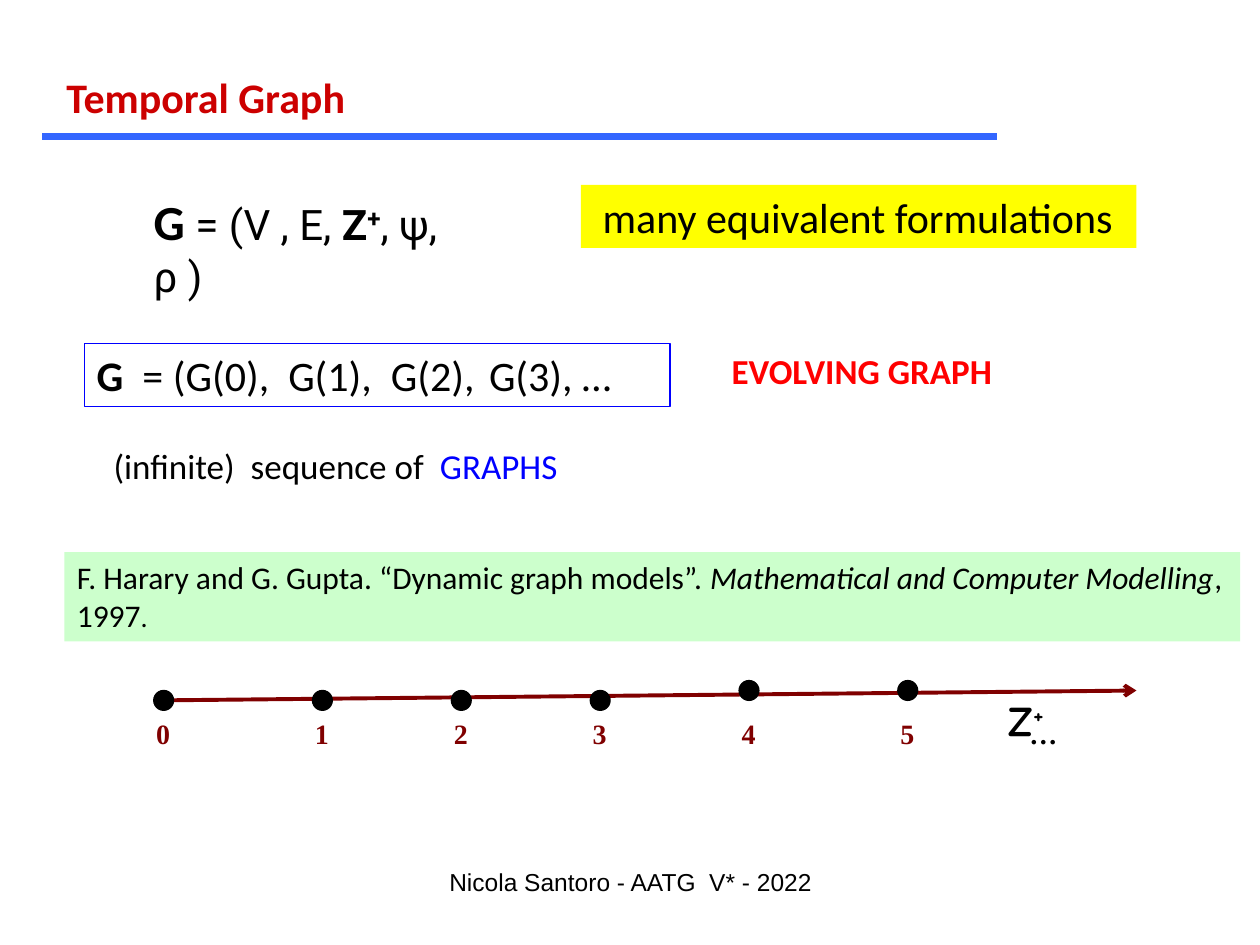
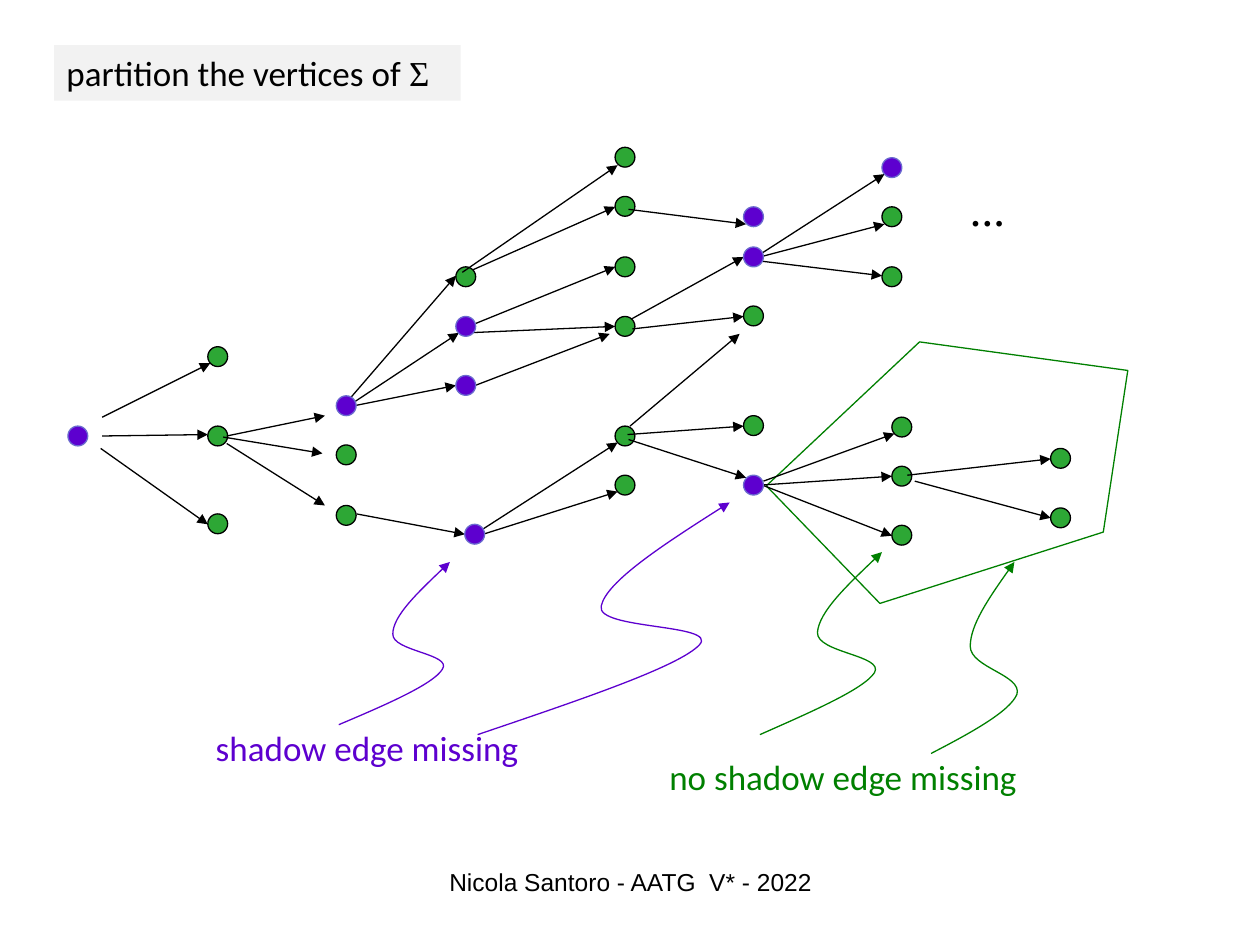
"""Builds two slides on temporal graphs: the evolving-graph definition and a vertex partition."""
from lxml.etree import SubElement
from pptx import Presentation
from pptx.dml.color import RGBColor as RGB
from pptx.enum.shapes import MSO_CONNECTOR as CONN, MSO_SHAPE as SHAPE
from pptx.enum.text import PP_ALIGN as ALIGN
from pptx.oxml.ns import qn
from pptx.util import Cm, Pt

COLORS = {
    "black": "000000", "white": "FFFFFF", "title": "CC0000", "rule": "3366FF",
    "axis": "800000", "blue": "0000FF", "red": "FF0000", "yellow": "FFFF00",
    "mint": "CCFFCC", "gray": "F2F2F2", "green": "008000", "leaf": "2DA735",
    "purple": "5D00CF", "lilac": "6B6BCF",
}
RGBS = {name: RGB.from_string(value) for name, value in COLORS.items()}
DOT = Cm(0.4)


def style(sp, fill=None, line=None, width=0.75, tail=None):
    """Set fill, outline and arrowhead, and drop the shadow."""
    if hasattr(sp, "fill"):
        if fill:
            sp.fill.solid()
            sp.fill.fore_color.rgb = RGBS[fill]
        else:
            sp.fill.background()
    if line:
        sp.line.color.rgb = RGBS[line]
        sp.line.width = Pt(width)
    else:
        sp.line.fill.background()
    spPr = sp._element.spPr
    if tail:
        SubElement(spPr.find(qn("a:ln")), qn("a:tailEnd"), type=tail)
    if spPr.find(qn("a:effectLst")) is None:
        SubElement(spPr, qn("a:effectLst"))


def text(s, box, runs, fill=None, line=None, align=ALIGN.LEFT, wrap=True, **base):
    """Add a one-paragraph box; each run is its text and what differs from base."""
    sp = s.shapes.add_textbox(*map(Cm, box))
    style(sp, fill, line)
    tf = sp.text_frame
    tf.word_wrap = wrap
    p = tf.paragraphs[0]
    p.alignment = align
    for content, extra in runs:
        r = p.add_run()
        r.text = content
        fmt = {"name": "Calibri", "size": 24, "color": "black", **base, **extra}
        r.font.color.rgb = RGBS[fmt.pop("color")]
        r.font.size = Pt(fmt.pop("size"))
        if fmt.pop("raised", False):
            r.font._element.set("baseline", "30000")
        for key, value in fmt.items():
            setattr(r.font, key, value)
    return sp


prs = Presentation()
prs.slide_width, prs.slide_height = Cm(25.4), Cm(19.05)
slides = [prs.slides.add_slide(prs.slide_layouts[6]) for _ in range(2)]

s = slides[0]
rule = s.shapes.add_connector(CONN.STRAIGHT, Cm(0.85), Cm(2.75), Cm(20.1), Cm(2.75))
style(rule, line="rule", width=4)
text(s, (1.09, 1.32, 6.3, 1.27), [("Temporal Graph", {})],
     wrap=False, color="title", bold=True)
text(s, (2.85, 3.73, 7.4, 1.4), [
    ("G", {"name": "Calibri", "size": 28, "bold": True}),
    (" = (V , E, ", {}),
    ("Z", {"bold": True}),
    ("+", {"bold": True, "raised": True}),
    (", ψ, ρ )", {}),
], wrap=False, name="Roboto")
sp = text(s, (11.71, 3.73, 11.2, 1.27), [("many equivalent formulations", {})], fill="yellow")
sp.text_frame.margin_left = Cm(0.44)
text(s, (1.7, 6.93, 11.81, 1.27), [
    ("G", {"bold": True}),
    ("  = (G(0),  G(1),  G(2),", {}),
    ("  ", {"size": 18}),
    ("G(3), …", {}),
], line="blue")
text(s, (14.5, 6.93, 5.87, 1.12), [("EVOLVING GRAPH", {})],
     wrap=False, size=20, color="red", bold=True)
text(s, (2.04, 8.84, 11.4, 1.2), [
    ("(infinite)  sequence of  ", {}),
    ("GRAPHS", {"color": "blue"}),
], size=20)
text(s, (1.3, 11.13, 23.7, 1.8), [
    ("F. Harary and G. Gupta. “Dynamic graph models”. ", {}),
    ("Mathematical and Computer Modelling", {"italic": True}),
    (", 1997", {}),
    (".", {"size": 16}),
], fill="mint", size=18)

axis = s.shapes.add_connector(CONN.STRAIGHT, Cm(3.1), Cm(14.12), Cm(22.91), Cm(13.92))
style(axis, line="axis", width=2.25, tail="arrow")
TICKS = [(3.1, 13.92), (6.3, 13.92), (9.1, 13.92), (11.9, 13.92), (14.9, 13.72), (18.1, 13.72)]
for i, (x, y) in enumerate(TICKS):
    style(s.shapes.add_shape(SHAPE.OVAL, Cm(x), Cm(y), DOT, DOT), "black", "black")
    text(s, (x - 0.2, 14.33, 0.8, 0.94), [(str(i), {})], wrap=False,
         name="Times New Roman", size=16, color="axis", bold=True)
text(s, (20.5, 14.33, 1.1, 0.94), [("…", {})], wrap=False,
     name="Times New Roman", size=16, bold=True)
text(s, (20.09, 13.87, 2, 1.2), [("Z", {}), ("+", {"raised": True})],
     wrap=False, name="Comic Neue", bold=True)

s = slides[1]
sp = s.shapes.add_shape(SHAPE.REGULAR_PENTAGON, Cm(15.44), Cm(6.78), Cm(7.65), Cm(4.78))
sp.rotation = -17.7
style(sp, "white", "green")

GREEN_NODES = {
    4.19: [6.99, 8.59, 10.36], 6.78: [8.97, 10.19], 9.19: [5.38],
    12.4: [2.97, 3.96, 5.18, 6.38, 8.59, 9.58], 14.99: [6.17, 8.38],
    17.78: [4.17, 5.38], 17.98: [8.41, 9.4, 10.59], 21.18: [9.04, 10.24],
}
PURPLE_NODES = {
    1.37: [8.59], 6.78: [7.98], 9.19: [6.38, 7.57], 9.37: [10.57],
    14.99: [4.17, 4.98, 9.58], 17.78: [3.18],
}
EDGES = [
    (2.06, 8.41, 4.24, 7.32), (2.06, 8.79, 4.19, 8.76), (2.03, 9.04, 4.19, 10.57),
    (4.57, 8.79, 6.55, 8.38), (4.57, 8.94, 6.55, 10.19), (4.5, 8.81, 6.5, 9.14),
    (7.04, 8.05, 9.19, 5.56), (6.83, 8.31, 9.25, 6.71), (7.04, 8.2, 9.19, 7.77),
    (7.19, 10.36, 9.37, 10.77), (9.32, 5.49, 12.45, 3.33), (9.53, 5.44, 12.4, 4.17),
    (9.27, 6.65, 12.4, 5.38), (9.4, 6.71, 12.4, 6.58), (9.58, 7.77, 12.29, 6.73),
    (9.65, 10.72, 12.45, 8.92), (9.58, 10.82, 12.45, 9.91), (12.65, 8.76, 14.99, 8.59),
    (12.67, 8.86, 15.04, 9.63), (12.75, 6.63, 14.99, 6.38), (12.73, 6.43, 14.99, 5.18),
    (12.67, 4.22, 15.04, 4.52), (12.7, 8.59, 14.91, 6.73), (15.24, 5.18, 17.83, 3.51),
    (15.32, 5.18, 17.83, 4.52), (15.06, 5.23, 17.78, 5.56), (15.37, 9.78, 17.98, 10.8),
    (15.32, 9.78, 17.98, 9.6), (15.39, 9.7, 18.03, 8.74), (18.29, 9.58, 21.18, 9.25),
    (18.44, 9.7, 21.18, 10.44),
]
for nodes, fill, line, edges in [(GREEN_NODES, "leaf", "black", EDGES),
                                 (PURPLE_NODES, "purple", "lilac", [])]:
    for x, tops in nodes.items():
        for y in tops:
            style(s.shapes.add_shape(SHAPE.OVAL, Cm(x), Cm(y), DOT, DOT), fill, line)
    for ends in edges:
        style(s.shapes.add_connector(CONN.STRAIGHT, *map(Cm, ends)),
              line="black", tail="triangle")

CURVES = [
    ("green", [(15.32, 14.81), (16.36, 14.35), (17.42, 13.89), (17.63, 13.56), (17.83, 13.21),
               (16.46, 13.16), (16.48, 12.75), (16.51, 12.34), (17.15, 11.73), (17.78, 11.13)]),
    ("green", [(18.77, 15.19), (19.56, 14.78), (20.35, 14.35), (20.5, 14), (20.62, 13.61),
               (19.56, 13.46), (19.56, 13.03), (19.56, 12.6), (20, 11.96), (20.45, 11.33)]),
    ("purple", [(6.83, 14.61), (7.8, 14.2), (8.74, 13.79), (8.92, 13.49), (9.12, 13.18),
                (7.9, 13.13), (7.92, 12.78), (7.92, 12.42), (8.51, 11.86), (9.07, 11.33)]),
    ("purple", [(9.63, 14.81), (11.66, 14.12), (13.69, 13.44), (14.1, 13), (14.5, 12.57),
                (12.01, 12.7), (12.12, 12.22), (12.22, 11.73), (13.46, 10.92), (14.71, 10.13)]),
]
for color, points in CURVES:
    start, *controls = [(Cm(x), Cm(y)) for x, y in points]
    fb = s.shapes.build_freeform(*start)
    fb.add_line_segments(controls, close=False)
    sp = fb.convert_to_shape()
    outline = sp._element.spPr.find(".//" + qn("a:path"))
    segments = outline.findall(qn("a:lnTo"))
    for i in range(0, len(segments), 3):
        bezier = SubElement(outline, qn("a:cubicBezTo"))
        for segment in segments[i:i + 3]:
            bezier.append(segment[0])
            outline.remove(segment)
    style(sp, line=color, tail="triangle")

text(s, (12.5, 15.11, 8.99, 1.12), [("no shadow edge missing", {})],
     align=ALIGN.CENTER, size=20, color="green")
text(s, (3.5, 14.53, 7.8, 1.12), [("shadow edge missing", {})],
     align=ALIGN.CENTER, size=20, color="purple")
text(s, (1.09, 0.91, 8.2, 1.12), [
    ("partition the vertices of ", {}),
    ("Σ", {"name": "Times New Roman"}),
], fill="gray", size=20)
text(s, (19.3, 3.73, 1.22, 1.12), [("…", {})], wrap=False,
     name="Times New Roman", size=20, bold=True)

for s in slides:
    text(s, (8.69, 17.35, 8.05, 1.27), [("Nicola Santoro - AATG  V* - 2022", {})],
         align=ALIGN.CENTER, name="Arial", size=14)

prs.save("out.pptx")
